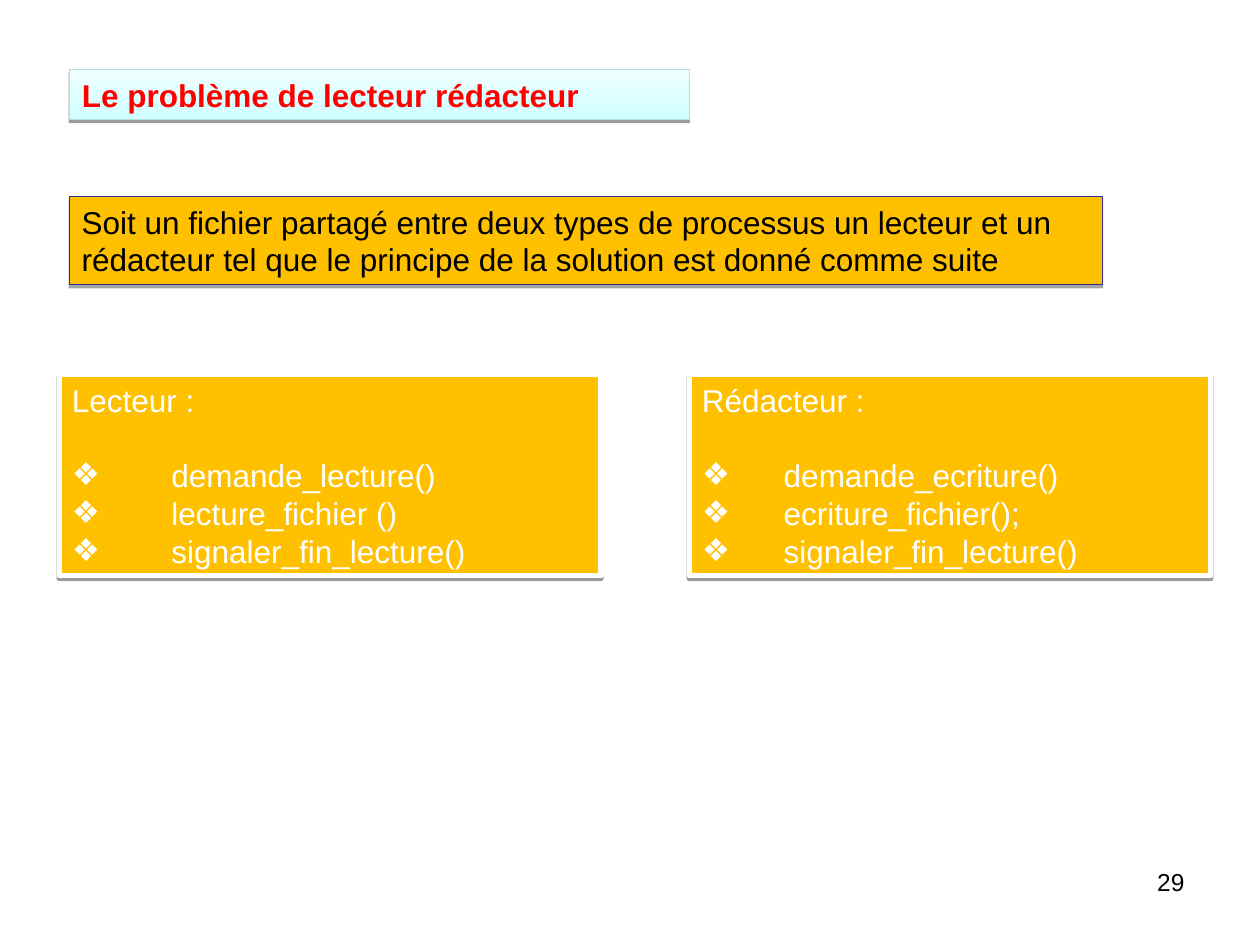
from dataclasses import dataclass

from lxml.etree import SubElement
from pptx import Presentation
from pptx.dml.color import RGBColor as RGB
from pptx.enum.shapes import MSO_SHAPE as Shape
from pptx.enum.text import MSO_ANCHOR as Anchor, MSO_AUTO_SIZE as AutoSize, PP_ALIGN as Align
from pptx.oxml.ns import qn
from pptx.util import Inches, Pt


@dataclass(frozen=True)
class Theme:
    font: str = "Arial"
    text_size: float = 18
    number_size: float = 14
    line_height: float = 21.6
    black: str = "000000"
    white: str = "FFFFFF"
    red: str = "FF0000"
    amber: str = "FFC000"
    navy: str = "2F2F98"
    ice_top: str = "F0FFFF"
    ice_bottom: str = "CFFFFF"
    ice_line: str = "B6DCDF"


THEME = Theme()


def place(shape, left, top, width, height):
    shape.left, shape.top = Inches(left), Inches(top)
    shape.width, shape.height = Inches(width), Inches(height)


def outline(shape, color, width):
    shape.line.color.rgb = RGB.from_string(color)
    shape.line.width = Pt(width)


def fill_solid(shape, color):
    shape.fill.solid()
    shape.fill.fore_color.rgb = RGB.from_string(color)


def fill_gradient(shape, top, bottom):
    shape.fill.gradient()
    shape.fill.gradient_angle = 270
    for stop, color in zip(shape.fill.gradient_stops, (top, bottom)):
        stop.color.rgb = RGB.from_string(color)


def drop_shadow(shape, alpha=38, distance=1.6):
    """Cast a hard shadow straight down; call after fill and line are set."""
    shape.shadow.inherit = False
    effects = shape.element.spPr.find(qn("a:effectLst"))
    shadow = SubElement(effects, qn("a:outerShdw"), blurRad="0",
                        dist=str(Pt(distance)), dir="5400000", rotWithShape="0")
    color = SubElement(shadow, qn("a:srgbClr"), val=THEME.black)
    SubElement(color, qn("a:alpha"), val=str(alpha * 1000))


def prepare_frame(shape):
    tf = shape.text_frame
    tf.word_wrap = True
    tf.auto_size = AutoSize.NONE
    tf.vertical_anchor = Anchor.TOP
    tf.margin_left = tf.margin_right = Inches(0.1)
    tf.margin_top = tf.margin_bottom = Inches(0.05)
    return tf


def set_bullet(p, color, indent):
    """Give a paragraph a diamond bullet, or none when indent is zero."""
    pPr = p._p.get_or_add_pPr()
    pPr.set("marL", str(Inches(indent)))
    pPr.set("indent", str(-Inches(indent)))
    if indent:
        SubElement(SubElement(pPr, qn("a:buClr")), qn("a:srgbClr"), val=color)
        SubElement(pPr, qn("a:buChar"), char="❖")
    else:
        SubElement(pPr, qn("a:buNone"))


def write(p, text, color=THEME.black, size=THEME.text_size, bold=False,
          align=Align.LEFT, indent=0, before=0, line_height=THEME.line_height):
    set_bullet(p, color, indent)
    p.alignment = align
    p.space_before = Pt(before)
    p.line_spacing = Pt(line_height)
    r = p.add_run()
    r.text = text
    r.font.name, r.font.size, r.font.bold = THEME.font, Pt(size), bold
    r.font.color.rgb = RGB.from_string(color)


def add_title(s, text):
    title = s.shapes.title
    place(title, 0.55, 0.55, 4.92, 0.4)
    fill_gradient(title, THEME.ice_top, THEME.ice_bottom)
    outline(title, THEME.ice_line, 0.75)
    drop_shadow(title)
    write(prepare_frame(title).paragraphs[0], text, color=THEME.red, bold=True)


def add_statement(s, text):
    box = s.shapes.add_shape(Shape.RECTANGLE, 0, 0, 0, 0)
    place(box, 0.55, 1.56, 8.2, 0.7)
    fill_solid(box, THEME.amber)
    outline(box, THEME.navy, 0.75)
    drop_shadow(box, alpha=35, distance=1.8)
    write(prepare_frame(box).paragraphs[0], text)


def fill_process(body, left, width, heading, calls, indent):
    """Turn a body placeholder into a panel listing the calls of one process."""
    place(body, left, 2.97, width, 1.6)
    fill_solid(body, THEME.amber)
    outline(body, THEME.white, 3)
    drop_shadow(body)
    tf = prepare_frame(body)
    write(tf.paragraphs[0], heading, color=THEME.white)
    for i, call in enumerate(calls):
        write(tf.add_paragraph(), call, color=THEME.white, indent=indent,
              before=0 if i else THEME.line_height)


def add_page_number(s, number):
    box = s.shapes.add_textbox(0, 0, 0, 0)
    place(box, 7.17, 6.83, 2.33, 0.52)
    write(prepare_frame(box).paragraphs[0], str(number), size=THEME.number_size,
          align=Align.RIGHT, line_height=16.8)


def main():
    prs = Presentation()
    prs.slide_width, prs.slide_height = Inches(10), Inches(7.5)
    s = prs.slides.add_slide(prs.slide_layouts.get_by_name("Two Content"))
    add_page_number(s, 29)
    add_statement(s, "Soit un fichier partagé entre deux types de processus un lecteur "
                     "et un rédacteur tel que le principe de la solution est donné "
                     "comme suite")
    fill_process(s.placeholders[1], 0.47, 4.3, "Lecteur :",
                 ["demande_lecture()", "lecture_fichier ()", "signaler_fin_lecture()"],
                 indent=0.79)
    fill_process(s.placeholders[2], 5.47, 4.14, "Rédacteur :",
                 ["demande_ecriture()", "ecriture_fichier();", "signaler_fin_lecture()"],
                 indent=0.65)
    add_title(s, "Le problème de lecteur rédacteur")
    prs.save("out.pptx")


if __name__ == "__main__":
    main()
